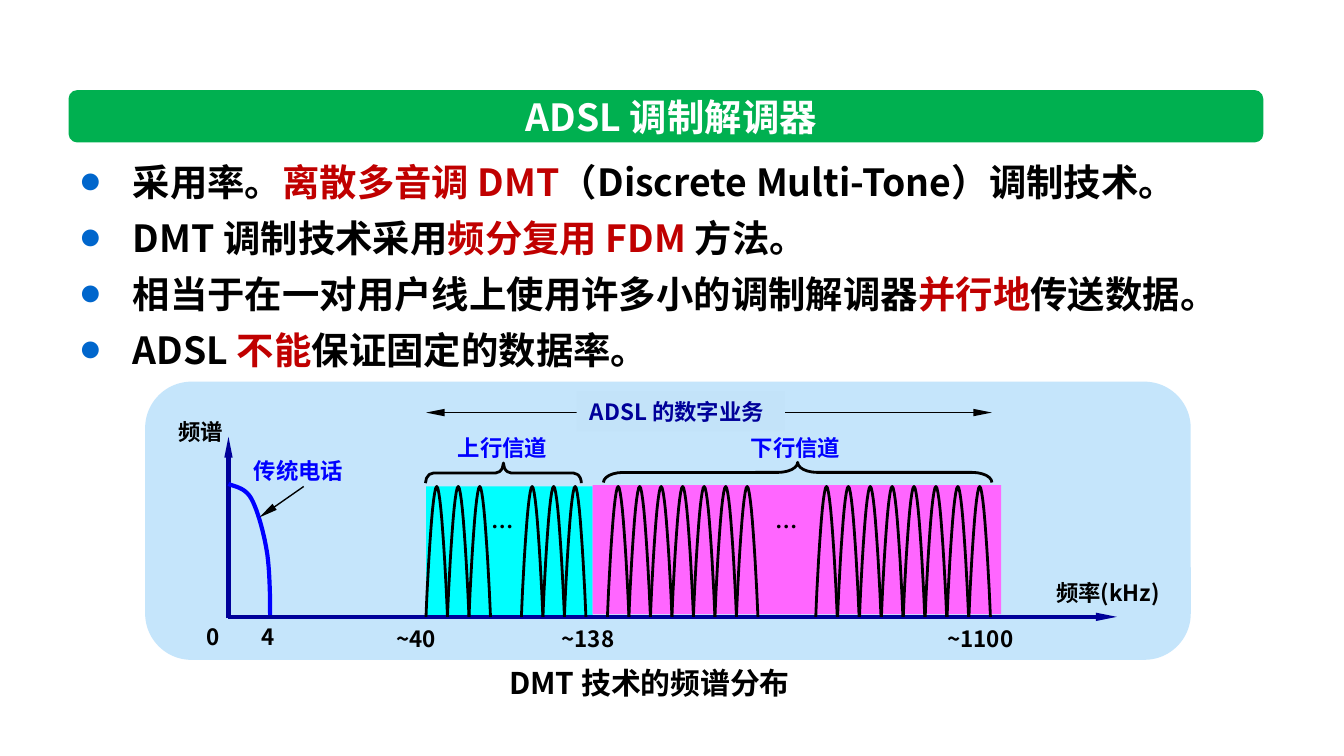
from lxml.etree import SubElement
from pptx import Presentation
from pptx.dml.color import RGBColor
from pptx.enum.shapes import MSO_CONNECTOR, MSO_SHAPE
from pptx.enum.text import MSO_ANCHOR, PP_ALIGN
from pptx.oxml.ns import qn
from pptx.util import Pt

PX = 9144  # 100 px to the inch
FONT = "Noto Sans CJK SC"
BLACK, WHITE, RED = "000000", "FFFFFF", "C00000"
NAVY, BLUE = "000099", "0000FF"

POINTS = [
    [("采用率。", BLACK), ("离散多音调 DMT", RED), ("（Discrete Multi-Tone）调制技术。", BLACK)],
    [("DMT 调制技术采用", BLACK), ("频分复用 FDM ", RED), ("方法。", BLACK)],
    [("相当于在一对用户线上使用许多小的调制解调器", BLACK), ("并行地", RED), ("传送数据。", BLACK)],
    [("ADSL ", BLACK), ("不能", RED), ("保证固定的数据率。", BLACK)],
]
# text, left, top, width, colour, wrap, centred
LABELS = [
    ("频谱", 15, 22, 67, BLACK, True, False),
    ("频率(kHz)", 668, 142, 118, BLACK, True, False),
    ("上行信道", 222, 34, 88, BLUE, False, True),
    ("下行信道", 440, 34, 88, BLUE, False, True),
    ("传统电话", 71, 51, 88, BLUE, False, False),
    ("…", 248, 93, 36, BLACK, False, False),
    ("…", 459, 93, 36, BLACK, False, False),
    ("0", 36, 175, 31, BLACK, False, False),
    ("4", 77, 175, 31, BLACK, False, False),
    ("~40", 177, 176, 54, BLACK, False, False),
    ("~138", 300, 176, 64, BLACK, False, False),
    ("~1100", 587, 176, 74, BLACK, False, False),
]
# first left, last left, count
TONES = [(209, 241, 3), (280, 312, 3), (344, 440, 7), (499, 613, 8)]
TONE = [(0, 97), (1.5, 60), (5, 0), (8, 0), (11, 0), (14.5, 60), (16, 97)]
PHONE = [(62, 76), (65, 78), (74, 78), (79, 87), (84, 96), (89, 115),
         (91, 129), (93, 144), (93, 165), (93, 174)]


def emu(*nums):
    return [round(n * PX) for n in nums]


def rgb(code):
    return RGBColor.from_string(code)


def style(para, size, color):
    font = para.font
    font.size, font.bold, font.name = Pt(size), True, FONT
    font.color.rgb = rgb(color)
    props = para._p.pPr.find(qn("a:defRPr"))
    SubElement(props, qn("a:ea")).set("typeface", FONT)


def shape(shapes, kind, box, fill=None, line=None, adj=()):
    item = shapes.add_shape(kind, *emu(*box))
    item.shadow.inherit = False
    if fill:
        item.fill.solid()
        item.fill.fore_color.rgb = rgb(fill)
    else:
        item.fill.background()
    if line:
        item.line.color.rgb = rgb(line)
        item.line.width = Pt(1.5)
    else:
        item.line.fill.background()
    for i, value in enumerate(adj):
        item.adjustments[i] = value
    return item


def label(shapes, text, box, size=12, color=BLACK, wrap=False, center=False, fill=None):
    item = shapes.add_textbox(*emu(*box))
    if fill:
        item.fill.solid()
        item.fill.fore_color.rgb = rgb(fill)
    item.text_frame.word_wrap = wrap
    para = item.text_frame.paragraphs[0]
    para.text = text
    if center:
        para.alignment = PP_ALIGN.CENTER
    style(para, size, color)


def arrow(shapes, start, end, color, width, both=False):
    item = shapes.add_connector(MSO_CONNECTOR.STRAIGHT, *emu(*start, *end))
    item.line.color.rgb = rgb(color)
    item.line.width = Pt(width)
    ln = item.line._get_or_add_ln()
    for tag in ("a:headEnd", "a:tailEnd") if both else ("a:tailEnd",):
        tip = SubElement(ln, qn(tag))
        for key, value in (("type", "triangle"), ("w", "sm"), ("len", "lg")):
            tip.set(key, value)
    SubElement(item._element.spPr, qn("a:effectLst"))


def curve(shapes, left, top, knots, color, width, steps=12):
    """Draw a chain of cubic Bezier arcs, three knots to each arc after the first."""
    spots = [knots[0]]
    for k in range(0, len(knots) - 1, 3):
        for i in range(1, steps + 1):
            t = i / steps
            parts = ((1 - t) ** 3, 3 * t * (1 - t) ** 2, 3 * t * t * (1 - t), t ** 3)
            spots.append([sum(w * knot[axis] for w, knot in zip(parts, knots[k:k + 4]))
                          for axis in (0, 1)])
    spots = [emu(left + x, top + y) for x, y in spots]
    path = shapes.build_freeform(*spots[0], scale=1.0)
    path.add_line_segments(spots[1:], close=False)
    item = path.convert_to_shape()
    item.shadow.inherit = False
    item.fill.background()
    item.line.color.rgb = rgb(color)
    item.line.width = Pt(width)


def heading(slide, box):
    left, top, width, height = box
    title = slide.shapes.title
    title.left, title.top, title.width, title.height = emu(left + 86, top, width - 164, height)
    frame = title.text_frame
    frame.vertical_anchor = MSO_ANCHOR.MIDDLE
    para = frame.paragraphs[0]
    para.text = "ADSL 调制解调器"
    para.alignment = PP_ALIGN.CENTER
    style(para, 20, WHITE)
    banner = shape(slide.shapes, MSO_SHAPE.ROUNDED_RECTANGLE, box, "00B050")
    title._element.addprevious(banner._element)


def points(slide, box):
    frame = slide.shapes.add_textbox(*emu(*box)).text_frame
    frame.word_wrap = True
    for i, parts in enumerate(POINTS):
        para = frame.add_paragraph() if i else frame.paragraphs[0]
        para.line_spacing = Pt(30)
        props = para._p.get_or_add_pPr()
        indent, = emu(38)
        props.set("marL", str(indent))
        props.set("indent", str(-indent))
        tint = SubElement(props, qn("a:buClr"))
        SubElement(tint, qn("a:srgbClr")).set("val", "0066CC")
        SubElement(props, qn("a:buSzPct")).set("val", "50000")
        SubElement(props, qn("a:buFont")).set("typeface", FONT)
        SubElement(props, qn("a:buChar")).set("char", "●")
        style(para, 20, BLACK)
        for text, color in parts:
            run = para.add_run()
            run.text = text
            if color != BLACK:
                run.font.color.rgb = rgb(color)


def spectrum(slide, box):
    left, top = box[:2]
    shapes = slide.shapes.add_group_shape().shapes

    def at(x, y, *size):
        return (left + x, top + y, *size)

    shape(shapes, MSO_SHAPE.ROUNDED_RECTANGLE, box, "C5E5FB")
    shape(shapes, MSO_SHAPE.RECTANGLE, at(209, 78, 124, 96), "00FFFF")
    shape(shapes, MSO_SHAPE.RECTANGLE, at(333, 77, 304, 96), "FF66FF")
    arrow(shapes, at(209, 23), at(630, 23), BLACK, 0.75, both=True)
    label(shapes, "ADSL 的数字业务", at(321, 7, 155, 30), color=NAVY, fill="C3E3F9")
    arrow(shapes, at(62, 176), at(62, 41), NAVY, 2.25)
    curve(shapes, left, top, PHONE, BLUE, 2.25)
    arrow(shapes, at(118, 78), at(85, 101), BLACK, 0.75)
    arrow(shapes, at(62, 175), at(723, 175), NAVY, 2.25)
    for x, y, length, bend in ((259, 10, 116, 0.39), (478, -77, 289, 0.97)):
        brace = shape(shapes, MSO_SHAPE.LEFT_BRACE, at(x, y, 15, length),
                      line=BLACK, adj=(bend, 0.5))
        brace.rotation = 90
    for first, last, count in TONES:
        for i in range(count):
            x = first + (last - first) * i / (count - 1)
            curve(shapes, *at(x, 78), TONE, BLACK, 1.5)
    for text, x, y, width, color, wrap, center in LABELS:
        label(shapes, text, at(x, y, width, 30), 12, color, wrap, center)


def main():
    deck = Presentation()
    deck.slide_width, deck.slide_height = emu(1000, 562.5)
    slide = deck.slides.add_slide(deck.slide_layouts[5])
    heading(slide, (51, 67, 889, 39))
    points(slide, (51, 105, 889, 369))
    spectrum(slide, (108, 284, 778, 207))
    label(slide.shapes, "DMT 技术的频谱分布", (369, 490, 239, 37), 16)
    deck.save("out.pptx")


if __name__ == "__main__":
    main()
